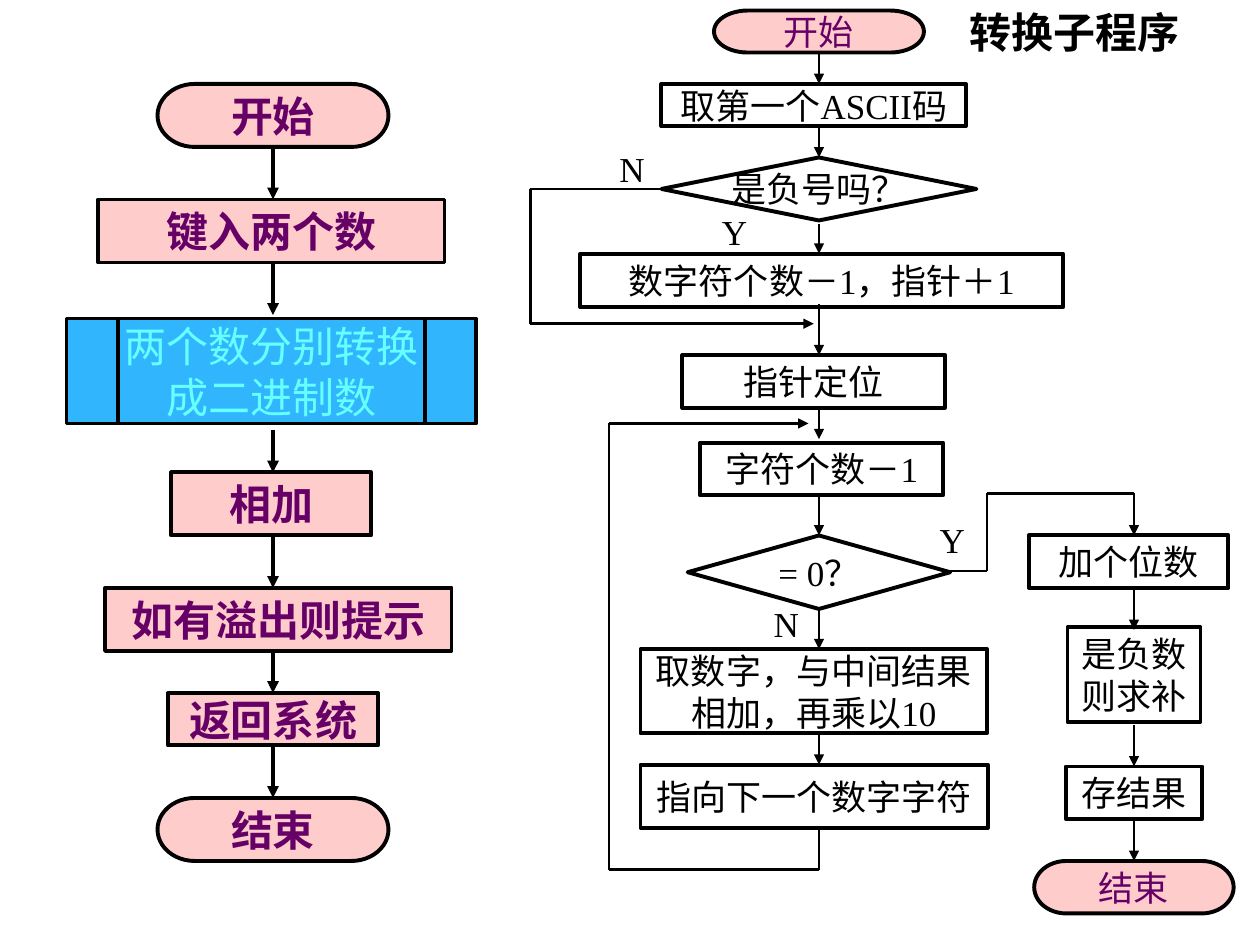
from pptx import Presentation
from pptx.dml.color import RGBColor
from pptx.enum.shapes import MSO_CONNECTOR, MSO_SHAPE
from pptx.enum.text import MSO_ANCHOR, PP_ALIGN
from pptx.oxml.ns import qn
from pptx.util import Pt
from lxml import etree

TERMINATOR = MSO_SHAPE.FLOWCHART_TERMINATOR
PROCESS = MSO_SHAPE.FLOWCHART_PROCESS
SUBROUTINE = MSO_SHAPE.FLOWCHART_PREDEFINED_PROCESS
DECISION = MSO_SHAPE.FLOWCHART_DECISION
STRAIGHT = MSO_CONNECTOR.STRAIGHT
CENTER, LEFT = PP_ALIGN.CENTER, PP_ALIGN.LEFT
TOP, MIDDLE = MSO_ANCHOR.TOP, MSO_ANCHOR.MIDDLE

COLORS = {
    "black": "000000",
    "pink": "FFCCCC",
    "purple": "660066",
    "blue": "31B6FD",
    "cyan": "66FFFF",
}
SERIF, SANS = "Times New Roman", "Arial"
MAIN_X, SUB_X, RESULT_X = 156, 468, 648

MAIN_STEPS = [
    (TERMINATOR, "开始", 90, 48, 132, 36),
    (PROCESS, "键入两个数", 56, 114, 198, 36),
    (PROCESS, "相加", 98, 270, 114, 36),
    (PROCESS, "如有溢出则提示", 60, 336, 198, 36),
    (PROCESS, "返回系统", 96, 396, 120, 30),
    (TERMINATOR, "结束", 90, 456, 132, 36),
]
SUB_ENDS = [
    (TERMINATOR, "开始", 408, 6, 120, 24),
    (TERMINATOR, "结束", 591, 492, 114, 30),
]
SUB_STEPS = [
    (PROCESS, "取第一个ASCII码", 378, 48, 174, 24),
    (DECISION, "是负号吗？", 378, 90, 180, 36),
    (PROCESS, "数字符个数－1，指针＋1", 331.5, 145, 276, 30.5),
    (PROCESS, "指针定位", 390, 203, 150, 30),
    (PROCESS, "字符个数－1", 400, 253, 139, 30),
    (DECISION, "= 0？", 393, 306, 150, 42),
    (PROCESS, "取数字，与中间结果\n相加，再乘以10", 366, 371, 198, 48),
    (PROCESS, "指向下一个数字字符", 366, 437, 198.5, 36),
    (PROCESS, "加个位数", 588, 306, 114, 30),
    (PROCESS, "是负数\n则求补", 610, 358.5, 76, 54),
    (PROCESS, "存结果", 609, 438, 78, 30),
]
MAIN_ARROWS = [(84, 114), (150, 180), (246, 270), (306, 336), (372, 396), (426, 456)]
SUB_ARROWS = [(30, 48), (73, 90), (128, 145), (174, 203), (233, 251),
              (282, 306), (347, 371), (419, 437)]
RESULT_ARROWS = [(336, 360), (414, 438), (468, 492)]
LABELS = [("N", 354, 84), ("Y", 412.5, 120), ("Y", 537, 296), ("N", 442, 344)]


def rgb(name):
    return RGBColor.from_string(COLORS[name])


def write(tf, text, size, color, bold=False, font=SERIF, align=CENTER, anchor=MIDDLE, wrap=False):
    tf.word_wrap = wrap
    tf.vertical_anchor = anchor
    for i, line in enumerate(text.split("\n")):
        p = tf.paragraphs[0] if i == 0 else tf.add_paragraph()
        p.alignment = align
        r = p.add_run()
        r.text = line
        r.font.name = font
        r.font.size = Pt(size)
        r.font.bold = bold
        r.font.color.rgb = rgb(color)


def clear_margins(tf):
    tf.margin_left = tf.margin_right = tf.margin_top = tf.margin_bottom = 0


def add_step(slide, step, size, color, fill=None, bold=False):
    kind, text, *box = step
    sp = slide.shapes.add_shape(kind, *map(Pt, box))
    sp.shadow.inherit = False
    if fill:
        sp.fill.solid()
        sp.fill.fore_color.rgb = rgb(fill)
    else:
        sp.fill.background()
    sp.line.color.rgb = rgb("black")
    sp.line.width = Pt(2.25)
    write(sp.text_frame, text, size, color, bold)


def add_line(slide, start, end, width=1.5, arrow=False):
    cn = slide.shapes.add_connector(STRAIGHT, *map(Pt, (*start, *end)))
    cn.line.color.rgb = rgb("black")
    cn.line.width = Pt(width)
    if arrow:
        etree.SubElement(cn.line._get_or_add_ln(), qn("a:tailEnd"), type="triangle")
    etree.SubElement(cn._element.spPr, qn("a:effectLst"))


def add_route(slide, points, width=1.5, arrow=True):
    last = len(points) - 2
    for i, (start, end) in enumerate(zip(points, points[1:])):
        add_line(slide, start, end, width, arrow and i == last)


def add_arrows(slide, x, spans, width=1.5):
    for top, bottom in spans:
        add_line(slide, (x, top), (x, bottom), width, True)


def add_label(slide, text, left, top):
    tf = slide.shapes.add_textbox(Pt(left), Pt(top), Pt(18), Pt(24)).text_frame
    clear_margins(tf)
    write(tf, text, 20, "black", align=LEFT, anchor=TOP, wrap=True)


def add_title(slide, text):
    sp = slide.shapes.title
    sp.left, sp.top, sp.width, sp.height = Pt(551.5), Pt(3.5), Pt(124.5), Pt(29)
    clear_margins(sp.text_frame)
    write(sp.text_frame, text, 24, "black", True, SANS, anchor=TOP, wrap=True)


def main():
    prs = Presentation()
    prs.slide_width, prs.slide_height = Pt(720), Pt(540)
    slide = prs.slides.add_slide(prs.slide_layouts[5])
    add_title(slide, "转换子程序")

    for step in MAIN_STEPS:
        add_step(slide, step, 24, "purple", "pink", True)
    add_step(slide, (SUBROUTINE, "两个数分别转换\n成二进制数", 38, 182, 234, 60),
             24, "cyan", "blue")
    for step in SUB_ENDS:
        add_step(slide, step, 20, "purple", "pink")
    for step in SUB_STEPS:
        add_step(slide, step, 20, "black")

    add_arrows(slide, MAIN_X, MAIN_ARROWS, 2.25)
    add_arrows(slide, SUB_X, SUB_ARROWS)
    add_arrows(slide, RESULT_X, RESULT_ARROWS)

    add_route(slide, [(377, 108), (303, 108), (303, 185), (465, 185)])
    add_line(slide, (SUB_X, 473), (SUB_X, 497), 1)
    add_route(slide, [(SUB_X, 497), (348, 497), (348, 242), (462, 242)])
    add_route(slide, [(540, 326.5), (564, 326.5), (564, 282)], 1, False)
    add_route(slide, [(564, 282), (RESULT_X, 282), (RESULT_X, 306)])

    for label in LABELS:
        add_label(slide, *label)
    prs.save("out.pptx")


if __name__ == "__main__":
    main()
